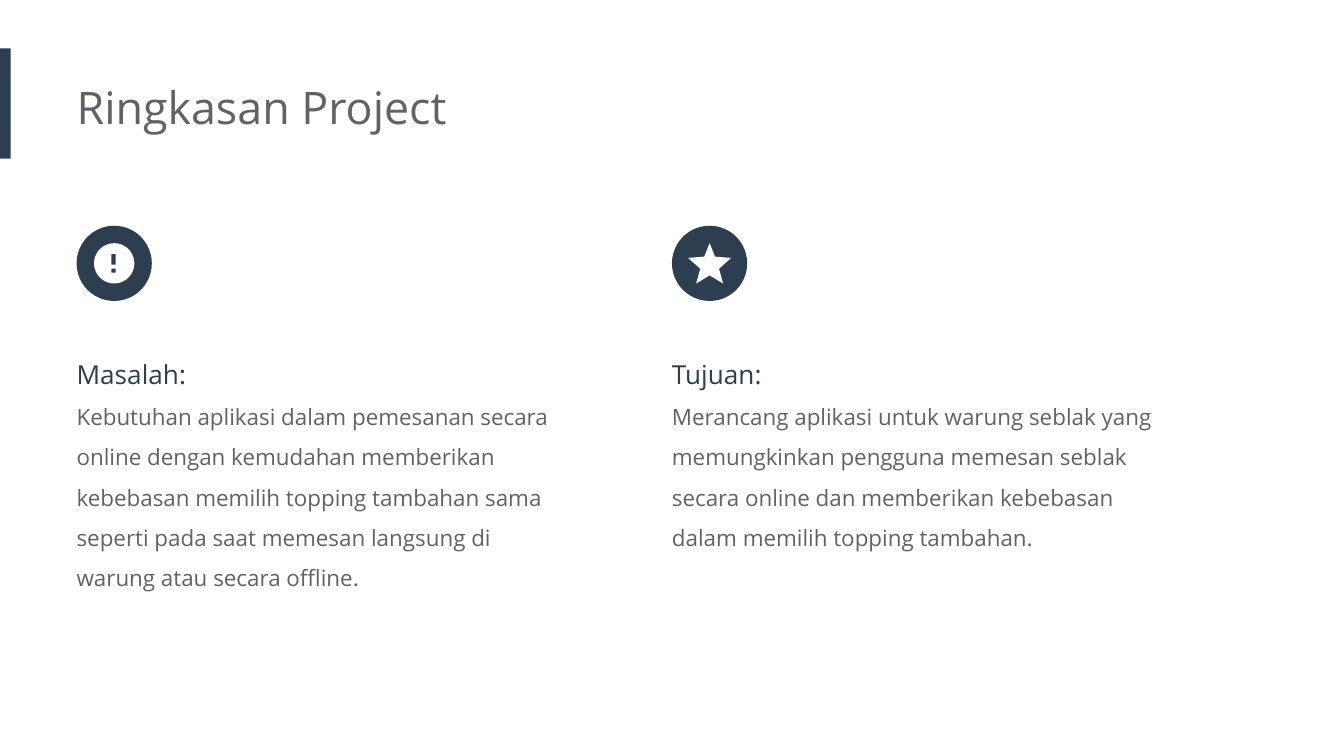
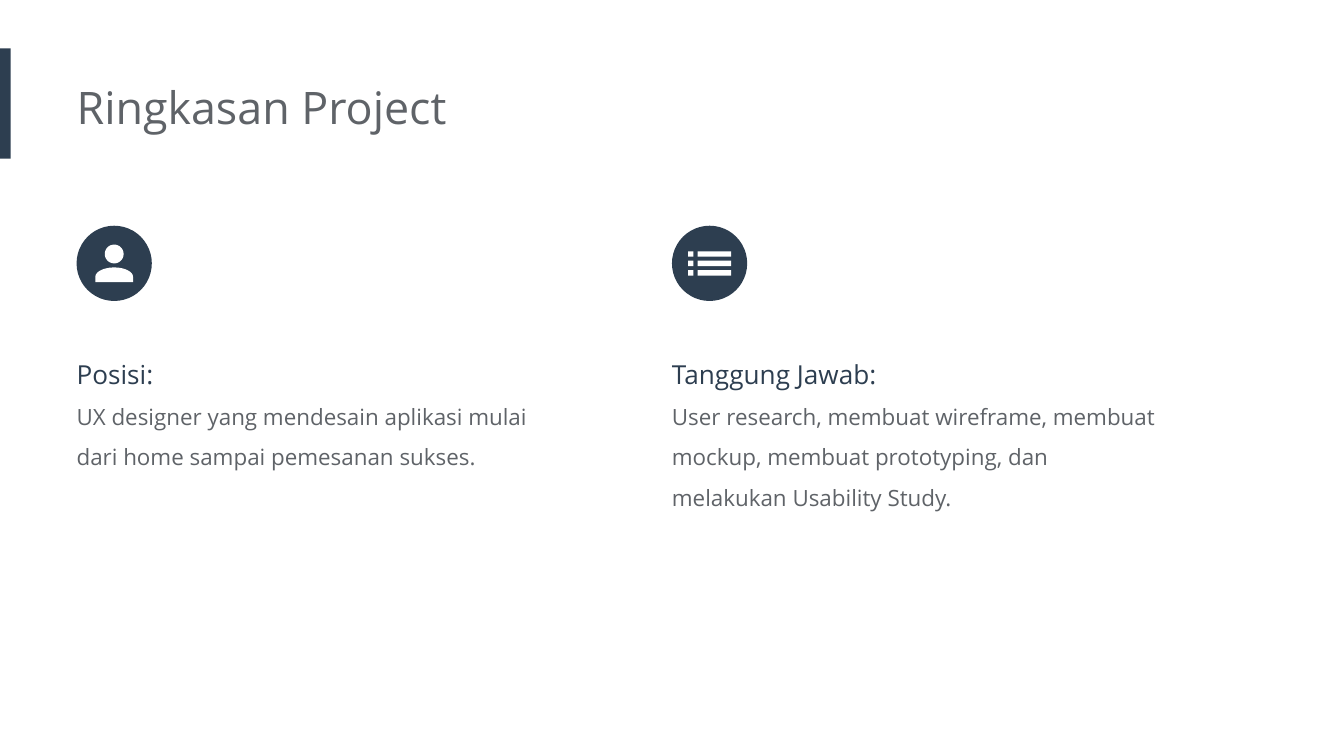
from math import cos, pi, sin

from pptx import Presentation
from pptx.dml.color import RGBColor
from pptx.enum.shapes import MSO_SHAPE
from pptx.enum.text import MSO_ANCHOR, MSO_AUTO_SIZE, PP_ALIGN
from pptx.util import Inches, Pt

NAVY = RGBColor(0x2D, 0x3E, 0x50)
GRAY = RGBColor(0x5F, 0x63, 0x68)
WHITE = RGBColor(0xFF, 0xFF, 0xFF)
FONT = "Open Sans"

COLUMNS = (0.57, 5)
DISC_TOP, DISC_SIZE = 1.68, 0.56
TEXT_TOP, TEXT_WIDTH = 2.45, 3.77


def box(left, top, width, height):
    right, bottom = left + width, top + height
    return [(left, top), (right, top), (right, bottom), (left, bottom)]


def arc(cx, cy, rx, ry, start=0, end=2 * pi, steps=48):
    """Points along an ellipse, clockwise on the slide."""
    angles = [start + (end - start) * i / steps for i in range(steps + 1)]
    return [(cx + rx * cos(a), cy + ry * sin(a)) for a in angles]


# Icons are lists of contours in inches, measured from the centre of the disc.
STAR_HALF = [(0, -0.15), (0.04, -0.05), (0.16, -0.04), (0.07, 0.04), (0.1, 0.15)]
STAR = [STAR_HALF + [(0, 0.09)] + [(-x, y) for x, y in STAR_HALF[:0:-1]]]
ALERT = [
    arc(0, 0, 0.15, 0.15),
    box(-0.02, -0.07, 0.03, 0.08)[::-1],
    box(-0.02, 0.04, 0.03, 0.03)[::-1],
]
PERSON = [
    arc(0, -0.07, 0.07, 0.07),
    arc(0, 0.1, 0.14, 0.07, pi, 2 * pi) + [(0.14, 0.14), (-0.14, 0.14)],
]
LIST = [
    box(left, top, width, 0.04)
    for top in (-0.09, -0.02, 0.05)
    for left, width in ((-0.16, 0.04), (-0.09, 0.25))
]

SLIDES = [
    ("Ringkasan Project", [
        (ALERT, "Masalah:", 2.07,
         "Kebutuhan aplikasi dalam pemesanan secara online dengan kemudahan "
         "memberikan kebebasan memilih topping tambahan sama seperti pada saat "
         "memesan langsung di warung atau secara offline."),
        (STAR, "Tujuan:", 1.77,
         "Merancang aplikasi untuk warung seblak yang memungkinkan pengguna "
         "memesan seblak secara online dan memberikan kebebasan dalam memilih "
         "topping tambahan."),
    ]),
    ("Ringkasan Project", [
        (PERSON, "Posisi:", 1.16,
         "UX designer yang mendesain aplikasi mulai dari home sampai pemesanan "
         "sukses."),
        (LIST, "Tanggung Jawab:", 1.46,
         "User research, membuat wireframe, membuat mockup, membuat "
         "prototyping, dan melakukan Usability Study."),
    ]),
]


class Deck:
    def __init__(self):
        self.prs = Presentation()
        self.prs.slide_width = Inches(10)
        self.prs.slide_height = Inches(10) * 9 // 16
        self.s = None

    def add_slide(self, title):
        self.s = self.prs.slides.add_slide(self.prs.slide_layouts[5])
        self.shape(MSO_SHAPE.RECTANGLE, 0, 0.36, 0.08, 0.82)
        self.title(title)

    def paint(self, sp, color):
        sp.fill.solid()
        sp.fill.fore_color.rgb = color
        sp.line.fill.background()
        sp.shadow.inherit = False

    def shape(self, kind, left, top, width, height):
        sp = self.s.shapes.add_shape(
            kind, Inches(left), Inches(top), Inches(width), Inches(height))
        self.paint(sp, NAVY)

    def frame(self, tf):
        tf.word_wrap = True
        tf.auto_size = MSO_AUTO_SIZE.SHAPE_TO_FIT_TEXT
        tf.vertical_anchor = MSO_ANCHOR.TOP
        tf.margin_left = 0
        tf.margin_top = tf.margin_right = tf.margin_bottom = Inches(0.1)

    def style(self, p, size, color):
        p.alignment = PP_ALIGN.LEFT
        for r in p.runs:
            r.font.name = FONT
            r.font.size = Pt(size)
            r.font.color.rgb = color

    def title(self, text):
        sp = self.s.shapes.title
        sp.left, sp.top = Inches(COLUMNS[0]), Inches(0.49)
        sp.width, sp.height = Inches(6.73), Inches(0.61)
        tf = sp.text_frame
        self.frame(tf)
        tf.text = text
        self.style(tf.paragraphs[0], 24, GRAY)

    def icon(self, left, contours):
        self.shape(MSO_SHAPE.OVAL, left, DISC_TOP, DISC_SIZE, DISC_SIZE)
        cx, cy = left + DISC_SIZE / 2, DISC_TOP + DISC_SIZE / 2
        paths = [[(Inches(cx + x), Inches(cy + y)) for x, y in contour]
                 for contour in contours]
        builder = self.s.shapes.build_freeform(*paths[0][0])
        for i, points in enumerate(paths):
            if i:
                builder.move_to(*points[0])
            builder.add_line_segments(points[1:], close=True)
        self.paint(builder.convert_to_shape(), WHITE)

    def text(self, left, height, heading, body):
        sp = self.s.shapes.add_textbox(
            Inches(left), Inches(TEXT_TOP), Inches(TEXT_WIDTH), Inches(height))
        tf = sp.text_frame
        self.frame(tf)
        tf.text = heading
        tf.add_paragraph().text = body
        for p, size, color in zip(tf.paragraphs, (14, 12), (NAVY, GRAY)):
            p.line_spacing = 1.5
            self.style(p, size, color)


def main():
    deck = Deck()
    for title, columns in SLIDES:
        deck.add_slide(title)
        for left, (contours, heading, height, body) in zip(COLUMNS, columns):
            deck.text(left, height, heading, body)
            deck.icon(left, contours)
    deck.prs.save("out.pptx")


if __name__ == "__main__":
    main()
